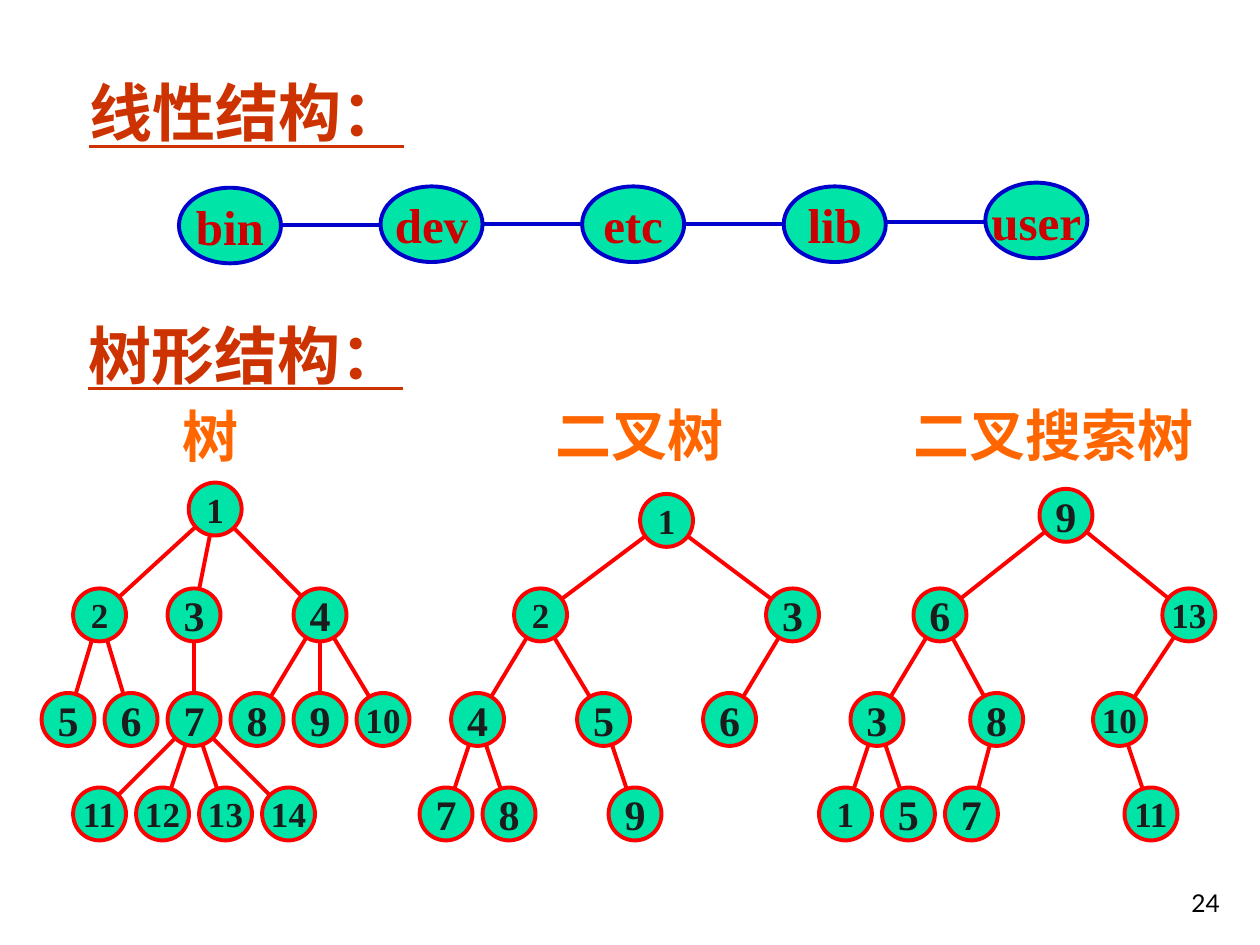
from math import hypot

from lxml import etree
from pptx import Presentation
from pptx.dml.color import RGBColor
from pptx.enum.shapes import MSO_CONNECTOR, MSO_SHAPE
from pptx.enum.text import MSO_ANCHOR, MSO_AUTO_SIZE, PP_ALIGN
from pptx.oxml.ns import qn
from pptx.util import Inches, Pt

OVAL = MSO_SHAPE.OVAL
STRAIGHT = MSO_CONNECTOR.STRAIGHT
TOP, MIDDLE, BOTTOM = MSO_ANCHOR.TOP, MSO_ANCHOR.MIDDLE, MSO_ANCHOR.BOTTOM
LEFT, CENTER, RIGHT = PP_ALIGN.LEFT, PP_ALIGN.CENTER, PP_ALIGN.RIGHT

SERIF = "Times New Roman"
GREEN, RED, BLUE = "00E4A8", "FF0000", "0000CC"
HEADING, SUBHEADING, WORD, NUMBER = "CC3300", "FF6600", "CC0000", "1C1C1C"

# Tree grid: column width, node diameter and the centres of rows 1 to 3
COLUMN = 0.25
NODE = 0.42
ROWS = {1: 4.88, 2: 5.71, 3: 6.46}

# Each node is label: (column, row, parent)
GENERAL_TREE = {
    "1": (4.67, 0, None),
    "2": (1, 1, "1"), "3": (4, 1, "1"), "4": (8, 1, "1"),
    "5": (0, 2, "2"), "6": (2, 2, "2"), "7": (4, 2, "3"),
    "8": (6, 2, "4"), "9": (8, 2, "4"), "10": (10, 2, "4"),
    "11": (1, 3, "7"), "12": (3, 3, "7"), "13": (5, 3, "7"), "14": (7, 3, "7"),
}
BINARY_TREE = {
    "1": (7, 0, None),
    "2": (3, 1, "1"), "3": (11, 1, "1"),
    "4": (1, 2, "2"), "5": (5, 2, "2"), "6": (9, 2, "3"),
    "7": (0, 3, "4"), "8": (2, 3, "4"), "9": (6, 3, "5"),
}
SEARCH_TREE = {
    "9": (7, 0, None),
    "6": (3, 1, "9"), "13": (10.9, 1, "9"),
    "3": (1, 2, "6"), "8": (4.8, 2, "6"), "10": (8.7, 2, "13"),
    "1": (0, 3, "3"), "5": (2, 3, "3"), "7": (4, 3, "8"), "11": (9.7, 3, "10"),
}


def color(value):
    return RGBColor.from_string(value)


def set_text(shape, text, size, hex_color, font=SERIF, bold=True, underline=None,
             align=LEFT, anchor=TOP, insets=(0.1, 0.05), wrap=True):
    frame = shape.text_frame
    frame.text = text
    frame.auto_size = MSO_AUTO_SIZE.NONE
    frame.word_wrap = wrap
    frame.vertical_anchor = anchor
    frame.margin_left = frame.margin_right = Inches(insets[0])
    frame.margin_top = frame.margin_bottom = Inches(insets[1])
    paragraph = frame.paragraphs[0]
    paragraph.alignment = align
    paragraph.line_spacing = 1
    run_font = paragraph.runs[0].font
    run_font.name, run_font.size = font, Pt(size)
    run_font.bold, run_font.underline = bold, underline
    run_font.color.rgb = color(hex_color)


def add_text(slide, box, text, size, hex_color, **options):
    shape = slide.shapes.add_textbox(*map(Inches, box))
    set_text(shape, text, size, hex_color, **options)


def add_node(slide, box, text, size, text_color, outline):
    shape = slide.shapes.add_shape(OVAL, *map(Inches, box))
    shape.shadow.inherit = False
    shape.fill.solid()
    shape.fill.fore_color.rgb = color(GREEN)
    shape.line.color.rgb = color(outline)
    shape.line.width = Pt(2.25)
    set_text(shape, text, size, text_color, align=CENTER, anchor=MIDDLE,
             insets=(0, 0), wrap=False)


def add_link(slide, start, end, hex_color):
    link = slide.shapes.add_connector(STRAIGHT, *map(Inches, (*start, *end)))
    link.line.color.rgb = color(hex_color)
    link.line.width = Pt(2.25)
    etree.SubElement(link._element.spPr, qn("a:effectLst"))


def add_chain(slide, left, tops, words, width=0.81, height=0.6, step=1.6):
    """A row of words, each linked to the next."""
    for index, (top, word) in enumerate(zip(tops, words)):
        x = left + index * step
        if index:
            y = (tops[index - 1] + top + height) / 2
            add_link(slide, (x - step + width, y), (x, y), BLUE)
        add_node(slide, (x, top, width, height), word, 28, WORD, BLUE)


def add_tree(slide, left, root_y, nodes):
    """A tree whose first column is centred on left and whose root is at root_y."""
    rows = {0: root_y, **ROWS}
    centers = {label: (left + column * COLUMN, rows[row])
               for label, (column, row, _) in nodes.items()}

    # Branches run from rim to rim, below the nodes
    for label, (_, _, parent) in nodes.items():
        if parent:
            (x1, y1), (x2, y2) = centers[parent], centers[label]
            share = 0.45 * NODE / hypot(x2 - x1, y2 - y1)
            dx, dy = (x2 - x1) * share, (y2 - y1) * share
            add_link(slide, (x1 + dx, y1 + dy), (x2 - dx, y2 - dy), RED)

    for label, (x, y) in centers.items():
        size = 20 if len(label) > 1 or label in "12" else 24
        box = (x - NODE / 2, y - NODE / 2, NODE, NODE)
        add_node(slide, box, label, size, NUMBER, RED)


def main():
    presentation = Presentation()
    presentation.slide_width, presentation.slide_height = Inches(10), Inches(7.5)
    slide = presentation.slides.add_slide(presentation.slide_layouts[5])

    # Linear structure
    title = slide.shapes.title
    title.left, title.top, title.width, title.height = map(Inches, (0.61, 0.4, 2.81, 0.97))
    set_text(title, "线性结构：", 36, HEADING, underline=True, anchor=MIDDLE)
    add_chain(slide, 1.42, (1.49, 1.48, 1.48, 1.48, 1.45),
              ("bin", "dev", "etc", "lib", "user"))

    # Tree structures
    add_text(slide, (0.58, 2.31, 2.8, 1), "树形结构：", 36, HEADING,
             underline=True, anchor=MIDDLE, insets=(0.12, 0.06))
    trees = (
        ("树", (1.33, 3.13, 0.75, 0.66), 0.54, 4.04, GENERAL_TREE),
        ("二叉树", (4.29, 3.12, 1.73, 0.66), 3.54, 4.13, BINARY_TREE),
        ("二叉搜索树", (7.13, 3.12, 2.6, 0.66), 6.71, 4.09, SEARCH_TREE),
    )
    for name, box, left, root_y, nodes in trees:
        add_text(slide, box, name, 32, SUBHEADING, insets=(0.12, 0.06))
        add_tree(slide, left, root_y, nodes)

    # Page number
    add_text(slide, (7.7, 6.83, 2.08, 0.5), "24", 14, "000000", font="Lato",
             bold=False, align=RIGHT, anchor=BOTTOM)

    presentation.save("out.pptx")


if __name__ == "__main__":
    main()
